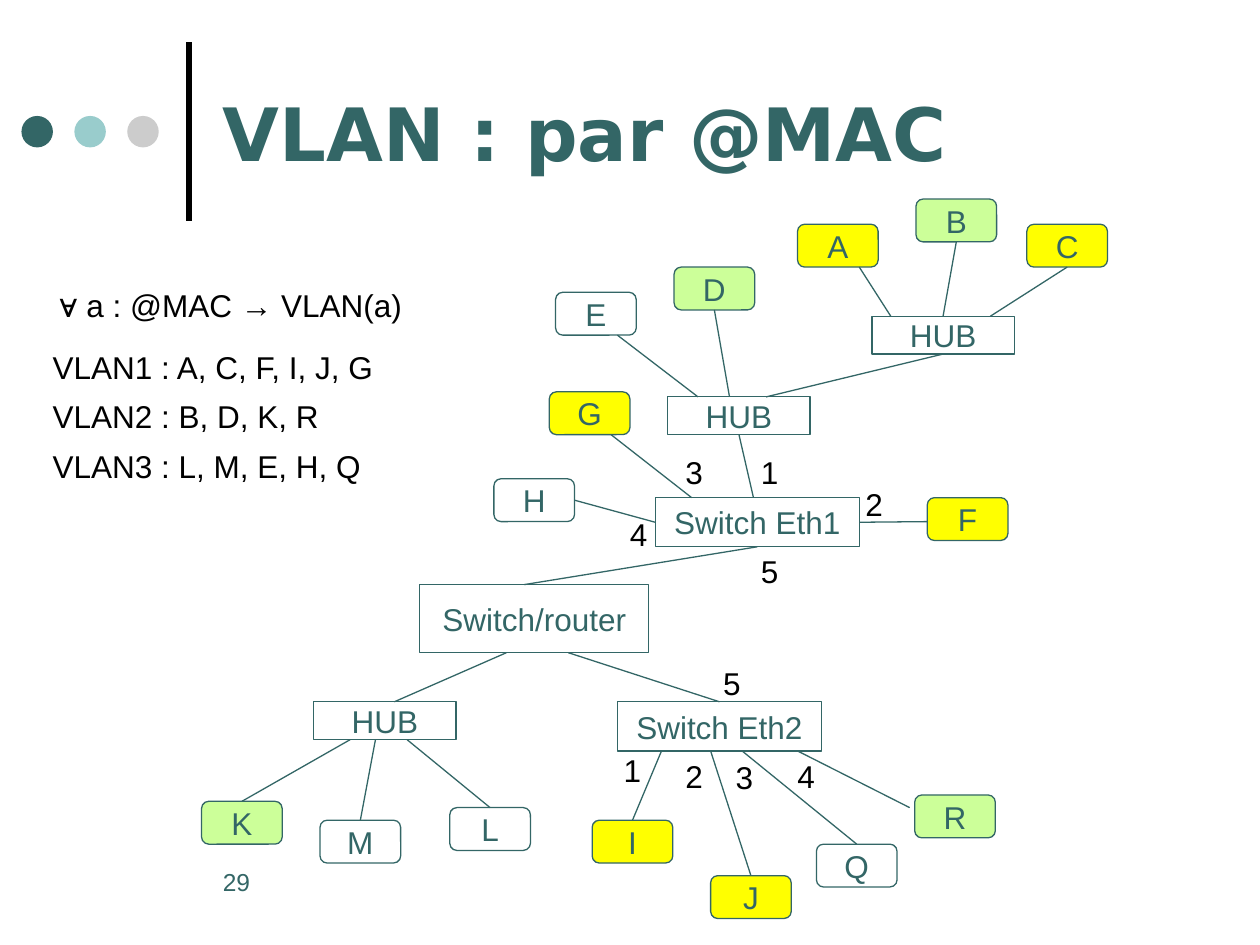
"""Build the slide on VLANs assigned by MAC address."""
from typing import Any, NamedTuple, Union

from pptx import Presentation
from pptx.dml.color import RGBColor as Rgb
from pptx.enum.shapes import MSO_CONNECTOR as Conn, MSO_SHAPE as Form
from pptx.enum.text import MSO_ANCHOR as Anchor, MSO_AUTO_SIZE as Fit, PP_ALIGN as Align
from pptx.oxml.ns import qn
from pptx.util import Pt

PX = 9144
TOP, LEFT, BOTTOM, RIGHT = range(4)
HUES = {"teal": "336666", "aqua": "99CCCC", "grey": "CCCCCC", "black": "000000",
        "white": "FFFFFF", "yellow": "FFFF00", "green": "CCFF99"}
BODY = {"name": "Arial", "size": Pt(18)}
HEAD = {"name": "DejaVu Sans", "size": Pt(42), "bold": True}
FOOT = {"name": "Arial", "size": Pt(14)}
BOXED = {"word_wrap": False, "vertical_anchor": Anchor.MIDDLE}
GROWN = {"word_wrap": True, "auto_size": Fit.SHAPE_TO_FIT_TEXT}
FIXED = {"word_wrap": True, "auto_size": Fit.NONE}
MIDDLE = {**FIXED, "vertical_anchor": Anchor.MIDDLE}


class Node(NamedTuple):
    """A device or a host, with its place in px."""
    key: str
    text: str
    x: int
    y: int
    w: int = 64
    h: int = 34
    hue: str = "white"
    form: Any = Form.ROUNDED_RECTANGLE


class Note(NamedTuple):
    """A text without a frame."""
    text: str
    x: int
    y: int
    w: int = 35
    h: int = 40
    hue: str = "black"
    font: dict = BODY
    frame: dict = GROWN


class Spot(NamedTuple):
    """A free end of a wire."""
    x: int
    y: int


class Join(NamedTuple):
    """The middle of one side of a node."""
    key: str
    side: int


class Wire(NamedTuple):
    """A link between two ends."""
    start: Union[Spot, Join]
    end: Union[Spot, Join]


def device(key: str, text: str, x: int, y: int, w: int = 113, h: int = 30) -> Node:
    """Describe a network device."""
    return Node(key, text, x, y, w, h, form=Form.RECTANGLE)


def host(name: str, x: int, y: int, hue: str = "white") -> Node:
    """Describe a host in the hue of its VLAN."""
    return Node(name, name, x, y, hue=hue)


NODES = [
    device("hub1", "HUB", 530, 315), device("hub2", "HUB", 692, 251),
    device("hub3", "HUB", 249, 557), device("eth1", "Switch Eth1", 520, 395, 162, 39),
    device("eth2", "Switch Eth2", 490, 557, 162, 39),
    device("router", "Switch/router", 333, 464, 182, 54),
    host("A", 633, 178, "yellow"), host("B", 727, 158, "green"),
    host("C", 815, 178, "yellow"), host("D", 535, 212, "green"),
    host("E", 441, 232), host("F", 736, 395, "yellow"),
    host("G", 436, 311, "yellow"), host("H", 392, 380),
    host("I", 470, 651, "yellow"), host("J", 564, 695, "yellow"),
    host("K", 160, 636, "green"), host("L", 357, 641), host("M", 254, 651),
    host("Q", 648, 670), host("R", 726, 631, "green"),
]
WIRES = [
    Wire(Spot(554, 315), Spot(490, 266)), Wire(Spot(579, 315), Join("D", BOTTOM)),
    Wire(Spot(707, 251), Spot(682, 212)), Wire(Join("hub2", TOP), Join("B", BOTTOM)),
    Wire(Spot(786, 251), Join("C", BOTTOM)), Wire(Spot(608, 315), Join("hub2", BOTTOM)),
    Wire(Join("eth1", RIGHT), Spot(736, 414)), Wire(Join("hub1", BOTTOM), Spot(598, 395)),
    Wire(Spot(549, 395), Spot(485, 345)), Wire(Join("eth1", LEFT), Join("H", RIGHT)),
    Wire(Join("eth1", BOTTOM), Spot(416, 464)), Wire(Spot(313, 557), Spot(402, 518)),
    Wire(Spot(451, 518), Join("eth2", TOP)), Wire(Join("K", TOP), Spot(278, 587)),
    Wire(Join("M", TOP), Spot(298, 587)), Wire(Join("L", TOP), Spot(323, 587)),
    Wire(Join("I", TOP), Spot(525, 596)), Wire(Join("J", TOP), Spot(564, 596)),
    Wire(Join("Q", TOP), Spot(589, 596)), Wire(Spot(722, 641), Spot(633, 596)),
]
NOTES = [
    Note("29", 167, 683, 142, 50, "teal", FOOT, FIXED),
    Note("VLAN : par @MAC", 167, 21, 767, 167, "teal", HEAD, MIDDLE),
    Note("1", 594, 355), Note("2", 677, 380), Note("3", 534, 355),
    Note("4", 490, 404), Note("5", 594, 433),
    Note("1", 485, 591, 39), Note("2", 534, 596), Note("3", 574, 597),
    Note("4", 623, 596), Note("5", 564, 522),
    Note("∀ a : @MAC → VLAN(a)", 37, 222, 295),
    Note("VLAN1 : A, C, F, I, J, G", 32, 271, 285),
    Note("VLAN2 : B, D, K, R", 32, 310, 271),
    Note("VLAN3 : L, M, E, H, Q", 32, 350, 281),
]


def tint(name: str) -> Rgb:
    """Return the colour of a hue."""
    return Rgb.from_string(HUES[name])


def apply(item: Any, values: dict) -> None:
    """Set each value as an attribute."""
    for name, value in values.items():
        setattr(item, name, value)


def write(shape: Any, text: str, hue: str, font: dict, frame: dict) -> Any:
    """Put one paragraph in a shape and return it."""
    apply(shape.text_frame, frame)
    para = shape.text_frame.paragraphs[0]
    run = para.add_run()
    run.text = text
    apply(run.font, font)
    run.font.color.rgb = tint(hue)
    return para


def solid(slide: Any, form: Any, x: int, y: int, w: int, h: int, hue: str) -> Any:
    """Draw a filled shape with no line or shadow."""
    shape = slide.shapes.add_shape(form, x * PX, y * PX, w * PX, h * PX)
    shape.shadow.inherit = False
    shape.fill.solid()
    shape.fill.fore_color.rgb = tint(hue)
    shape.line.fill.background()
    return shape


def draw_node(slide: Any, node: Node) -> Any:
    """Draw a node with its name."""
    shape = solid(slide, node.form, node.x, node.y, node.w, node.h, node.hue)
    shape.line.color.rgb = tint("teal")
    shape.line.width = Pt(0.75)
    write(shape, node.text, "teal", BODY, BOXED).alignment = Align.CENTER
    return shape


def draw_note(slide: Any, note: Note) -> None:
    """Draw a text box."""
    box = slide.shapes.add_textbox(*(n * PX for n in (note.x, note.y, note.w, note.h)))
    write(box, note.text, note.hue, note.font, note.frame)


def draw_wire(slide: Any, wire: Wire, shapes: dict, hue: str = "teal", size: float = 0.75) -> None:
    """Draw a line and join its ends to nodes."""
    places = [n * PX for end in wire for n in (end if isinstance(end, Spot) else (0, 0))]
    line = slide.shapes.add_connector(Conn.STRAIGHT, *places)
    line.line.color.rgb = tint(hue)
    line.line.width = Pt(size)
    props = line._element.spPr
    props.append(props.makeelement(qn("a:effectLst"), {}))
    for end, link in zip(wire, (line.begin_connect, line.end_connect)):
        if isinstance(end, Join):
            link(shapes[end.key], end.side)


def main() -> None:
    """Build and save the slide."""
    deck = Presentation()
    deck.slide_width, deck.slide_height = 1000 * PX, 750 * PX
    slide = deck.slides.add_slide(deck.slide_layouts[6])
    draw_wire(slide, Wire(Spot(150, 175), Spot(150, 33)), {}, "black", 3)
    for i, hue in enumerate(("teal", "aqua", "grey")):
        solid(slide, Form.OVAL, 17 + 42 * i, 92, 25, 25, hue)
    shapes = {node.key: draw_node(slide, node) for node in NODES}
    for wire in WIRES:
        draw_wire(slide, wire, shapes)
    for note in NOTES:
        draw_note(slide, note)
    deck.save("out.pptx")


if __name__ == "__main__":
    main()
